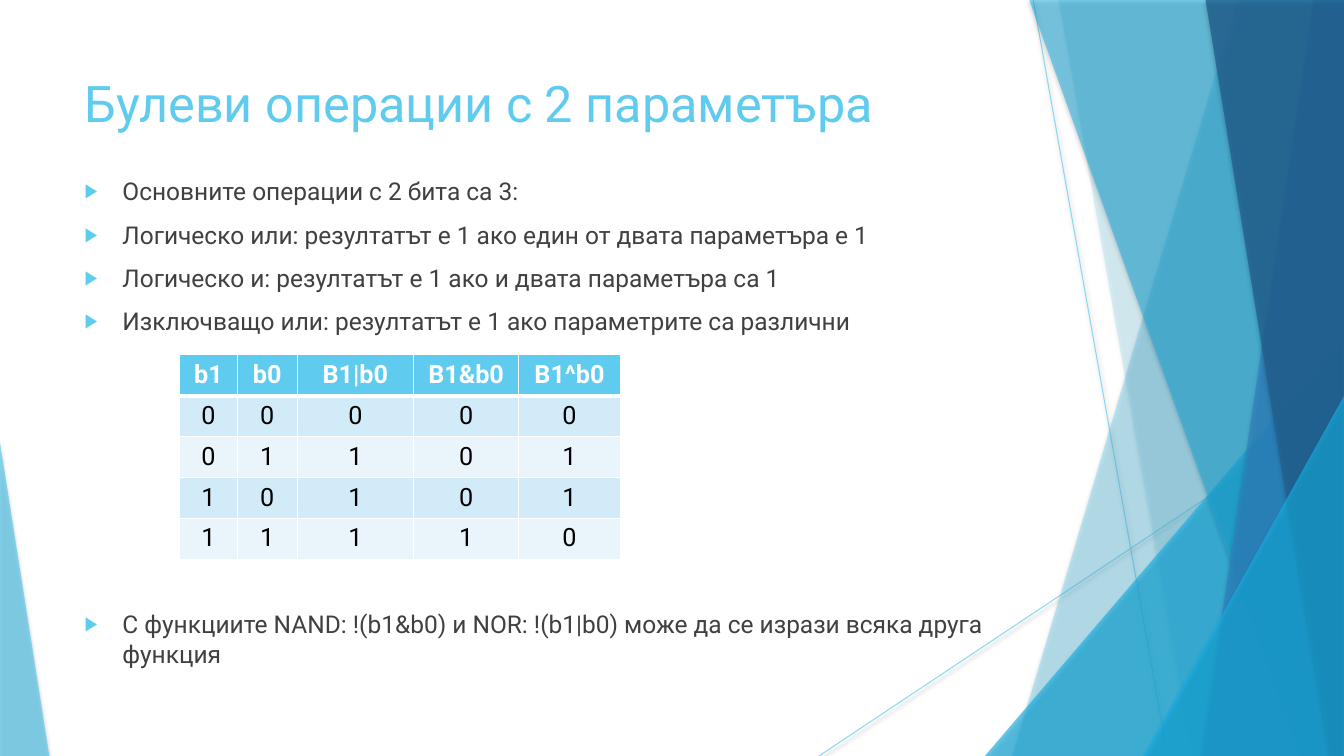
from lxml.etree import SubElement
from pptx import Presentation
from pptx.dml.color import RGBColor
from pptx.enum.shapes import MSO_CONNECTOR, MSO_SHAPE
from pptx.enum.text import MSO_ANCHOR, MSO_AUTO_SIZE, PP_ALIGN
from pptx.oxml.ns import qn
from pptx.util import Pt

PX = 9525  # EMU in one px; the slide is 1280 x 720 px
WIDTH, HEIGHT = 1280, 720
FONT = "Roboto"
HEX = {
    "sky": "5FCBEF", "cyan": "17B0E4", "blue": "2E83C3", "navy": "226292",
    "text": "404040", "black": "000000", "white": "FFFFFF",
    "band_dark": "D2EBF8", "band_light": "EAF5FB",
}
COLOR = {name: RGBColor.from_string(value) for name, value in HEX.items()}


def soften(shape, opacity, shadow_opacity, blur, distance):
    """Make the shape's only colour translucent and add a downward shadow."""
    properties = shape._element.spPr
    own_color = properties.find(".//" + qn("a:srgbClr"))
    SubElement(own_color, qn("a:alpha"), val=str(opacity * 1000))
    effects = SubElement(properties, qn("a:effectLst"))
    shadow = SubElement(effects, qn("a:outerShdw"), blurRad=str(Pt(blur)),
                        dist=str(Pt(distance)), dir="5400000", rotWithShape="0")
    shadow_color = SubElement(shadow, qn("a:srgbClr"), val=HEX["black"])
    SubElement(shadow_color, qn("a:alpha"), val=str(shadow_opacity * 1000))


def add_text(para, text, size, color, bold=False):
    span = para.add_run()
    span.text = text
    span.font.name = FONT
    span.font.size = Pt(size)
    span.font.bold = bold
    span.font.color.rgb = COLOR[color]


deck = Presentation()
deck.slide_width, deck.slide_height = WIDTH * PX, HEIGHT * PX
page = deck.slides.add_slide(deck.slide_layouts[1])
shapes = page.shapes

# Thin lines behind the facets
for ends in [(984, 0, 1112, HEIGHT), (WIDTH, 387, 780, HEIGHT)]:
    line = shapes.add_connector(MSO_CONNECTOR.STRAIGHT, *(end * PX for end in ends))
    line.line.color.rgb = COLOR["sky"]
    line.line.width = Pt(0.75)
    soften(line, 70, 38, 3.1, 1.6)

# Facets: a band is (top x, bottom x) and reaches the right edge,
# a triangle is (left, top, width, apex) and reaches the bottom edge
facets = [
    ("sky", 36, (1179, 964)),
    ("sky", 20, (1008, 1135)),
    ("cyan", 66, (938, 320, 342, 1)),
    ("cyan", 50, (980, 1239)),
    ("blue", 70, (1251, 1144)),
    ("navy", 80, (1148, 1265)),
    ("cyan", 66, (1089, 377, 191, 1)),
    ("sky", 70, (0, 421, 47, 0)),
]
for color, opacity, outline in facets:
    if len(outline) == 2:
        top_x, bottom_x = outline
        builder = shapes.build_freeform(top_x, -1, scale=PX)
        builder.add_line_segments([(WIDTH, -1), (WIDTH, HEIGHT), (bottom_x, HEIGHT)])
        facet = builder.convert_to_shape()
    else:
        left, top, width, apex = outline
        facet = shapes.add_shape(MSO_SHAPE.ISOSCELES_TRIANGLE, left * PX, top * PX,
                                 width * PX, (HEIGHT - top) * PX)
        facet.adjustments[0] = apex
    facet.fill.solid()
    facet.fill.fore_color.rgb = COLOR[color]
    facet.line.fill.background()
    soften(facet, opacity, 35, 3, 2)

# Title and body placeholders, brought in front of the facets
title, body = shapes.title, page.placeholders[1]
for box, top, height in [(title, 64, 138), (body, 163, 470)]:
    box.left, box.top, box.width, box.height = 71 * PX, top * PX, 902 * PX, height * PX
    frame = box.text_frame
    frame.word_wrap = True
    frame.auto_size = MSO_AUTO_SIZE.NONE
    frame.vertical_anchor = MSO_ANCHOR.TOP
    shapes._spTree.append(box._element)

title_para = title.text_frame.paragraphs[0]
title_para.alignment = PP_ALIGN.LEFT
add_text(title_para, "Булеви операции с 2 параметъра", 36, "sky")

# Bulleted list; the last item stands below the table
items = [
    ("Основните операции с 2 бита са 3:", 10),
    ("Логическо или: резултатът е 1 ако един от двата параметъра е 1", 10),
    ("Логическо и: резултатът е 1 ако и двата параметъра са 1", 10),
    ("Изключващо или: резултатът е 1 ако параметрите са различни", 10),
    ("С функциите NAND: !(b1&b0) и NOR: !(b1|b0) може да се изрази всяка друга функция",
     195.5),
]
for index, (text, gap) in enumerate(items):
    para = body.text_frame.add_paragraph() if index else body.text_frame.paragraphs[0]
    para.space_before = Pt(gap)
    settings = para._p.get_or_add_pPr()
    settings.set("marL", str(36 * PX))
    settings.set("indent", str(-36 * PX))
    bullet_color = SubElement(settings, qn("a:buClr"))
    SubElement(bullet_color, qn("a:srgbClr"), val=HEX["sky"])
    SubElement(settings, qn("a:buSzPct"), val="80000")
    SubElement(settings, qn("a:buChar"), char="▶")
    add_text(para, text, 17.5, "text")

# Truth table
header = ["b1", "b0", "B1|b0", "B1&b0", "B1^b0"]
truth = [[a, b, a | b, a & b, a ^ b] for a in (0, 1) for b in (0, 1)]
rows = [header] + truth
column_widths = [55, 57, 111, 100, 97]
row_height = 39
table = shapes.add_table(len(rows), len(header), 171 * PX, 338 * PX,
                         sum(column_widths) * PX, len(rows) * row_height * PX).table
for column, width in zip(table.columns, column_widths):
    column.width = width * PX
for r, row in enumerate(rows):
    table.rows[r].height = row_height * PX
    is_header = r == 0
    fill = "sky" if is_header else "band_dark" if r % 2 else "band_light"
    borders = {"lnL": 0.96, "lnR": 0.96,
               "lnT": 3 if r == 1 else 0.96, "lnB": 3 if is_header else 0.96}
    for c, value in enumerate(row):
        cell = table.cell(r, c)
        for side, width in borders.items():
            border = SubElement(cell._tc.get_or_add_tcPr(), qn("a:" + side),
                                w=str(Pt(width)))
            border_fill = SubElement(border, qn("a:solidFill"))
            SubElement(border_fill, qn("a:srgbClr"), val=HEX["white"])
        cell.fill.solid()
        cell.fill.fore_color.rgb = COLOR[fill]
        para = cell.text_frame.paragraphs[0]
        para.alignment = PP_ALIGN.CENTER
        add_text(para, str(value), 18, "white" if is_header else "black", is_header)

deck.save("out.pptx")
